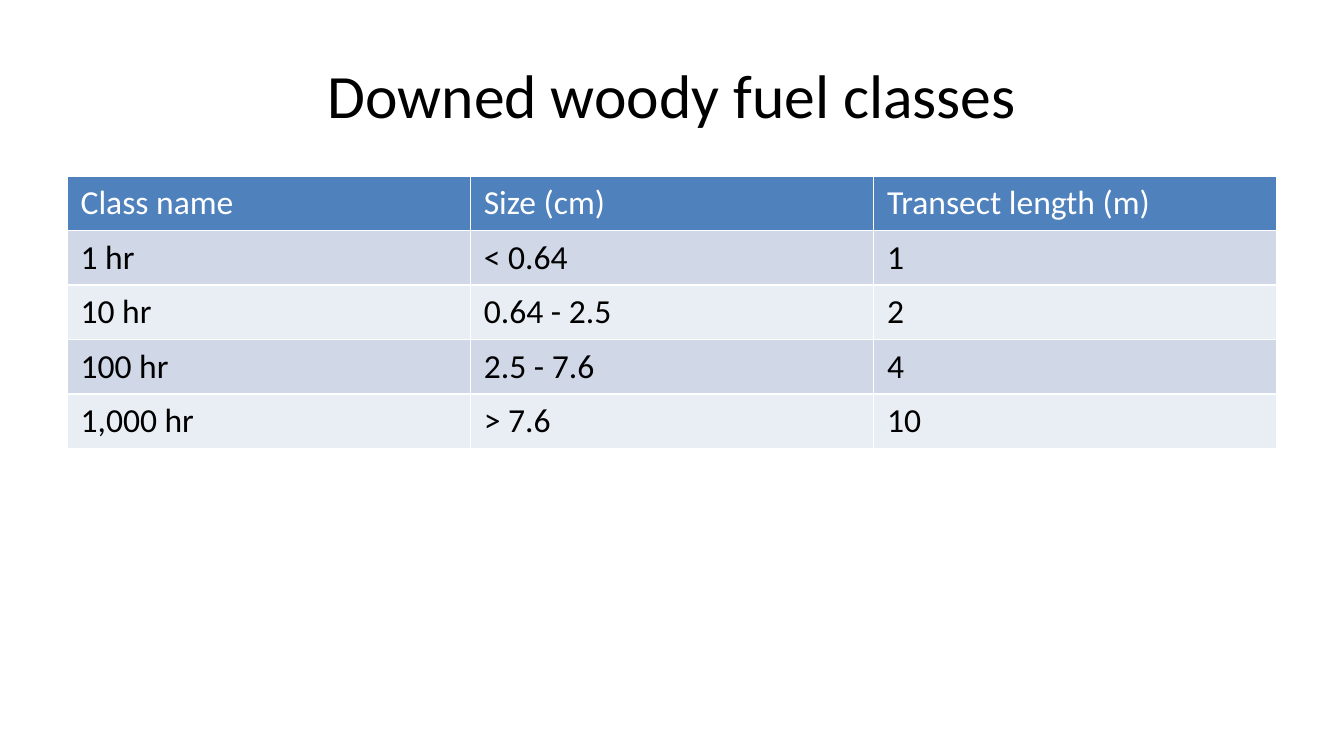
from pptx import Presentation
from pptx import util as u
from pptx.dml import color
from pptx.enum import text

FONT = "Calibri"
HUES = {
    "ink": "000000",
    "head": "4F81BD",
    "head_ink": "FFFFFF",
    "odd": "D0D8E8",
    "even": "E9EDF4",
}
ROWS = [
    ("Class name", "Size (cm)", "Transect length (m)"),
    ("1 hr", "< 0.64", "1"),
    ("10 hr", "0.64 - 2.5", "2"),
    ("100 hr", "2.5 - 7.6", "4"),
    ("1,000 hr", "> 7.6", "10"),
]
LEFT, WIDTH = u.Cm(1.27), u.Cm(22.86)


def hue(name):
    return color.RGBColor.from_string(HUES[name])


def add_run(para, words, size, ink):
    run = para.add_run()
    run.text = words
    font = run.font
    font.name, font.size, font.bold = FONT, u.Pt(size), False
    font.color.rgb = hue(ink)


def add_title(slide, words):
    title = slide.shapes.title
    title.left, title.top = LEFT, u.Cm(0.58)
    title.width, title.height = WIDTH, u.Cm(2.39)
    frame = title.text_frame
    frame.vertical_anchor = text.MSO_ANCHOR.MIDDLE
    para = frame.paragraphs[0]
    para.alignment = text.PP_ALIGN.CENTER
    add_run(para, words, 33, "ink")


def add_grid(slide, rows):
    """Add a table with a header row and banded body rows."""
    high = u.Cm(1.03)
    table = slide.shapes.add_table(
        len(rows), len(rows[0]), LEFT, u.Cm(3.33), WIDTH, high * len(rows)
    ).table
    for r, row in enumerate(rows):
        fill = "head" if r == 0 else "odd" if r % 2 else "even"
        ink = "ink" if r else "head_ink"
        for c, words in enumerate(row):
            cell = table.cell(r, c)
            cell.fill.solid()
            cell.fill.fore_color.rgb = hue(fill)
            add_run(cell.text_frame.paragraphs[0], words, 18, ink)


def main():
    deck = Presentation()
    deck.slide_width, deck.slide_height = u.Cm(25.4), u.Cm(14.29)
    slide = deck.slides.add_slide(deck.slide_layouts[5])
    add_title(slide, "Downed woody fuel classes")
    add_grid(slide, ROWS)
    deck.save("out.pptx")


if __name__ == "__main__":
    main()
